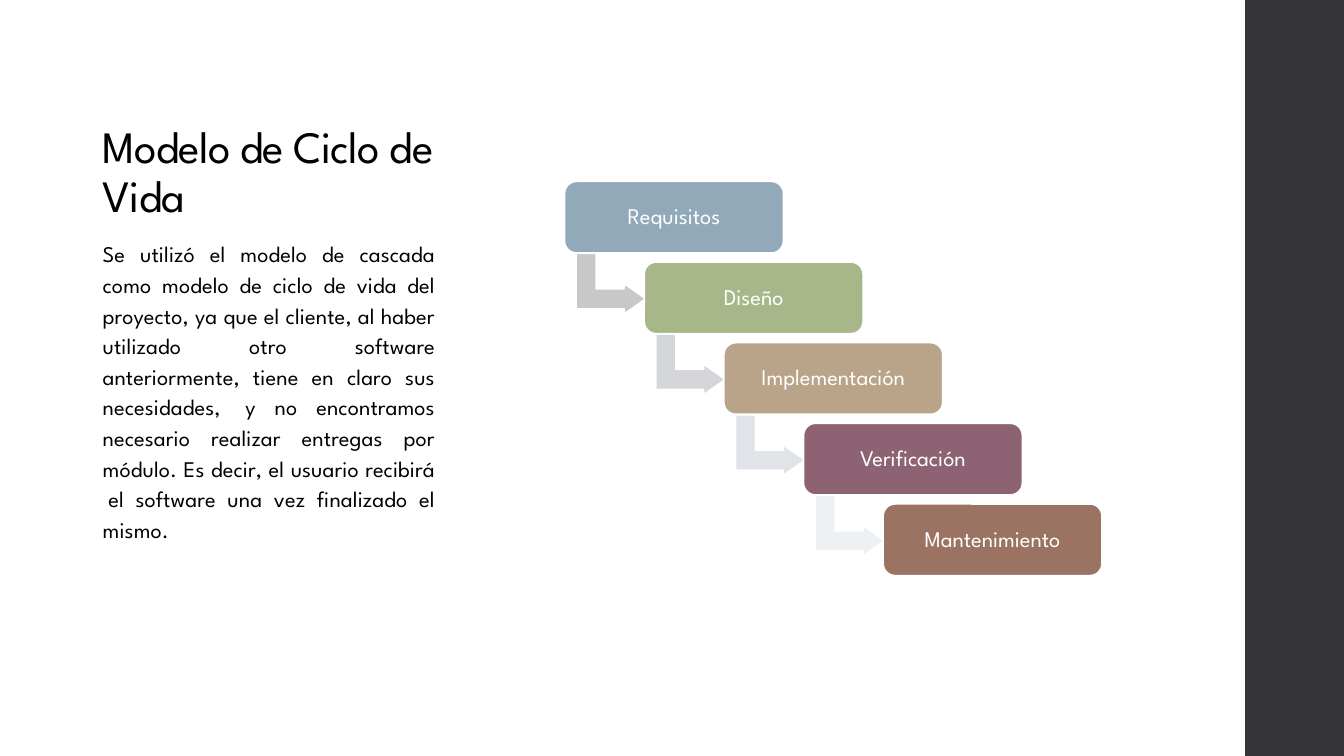
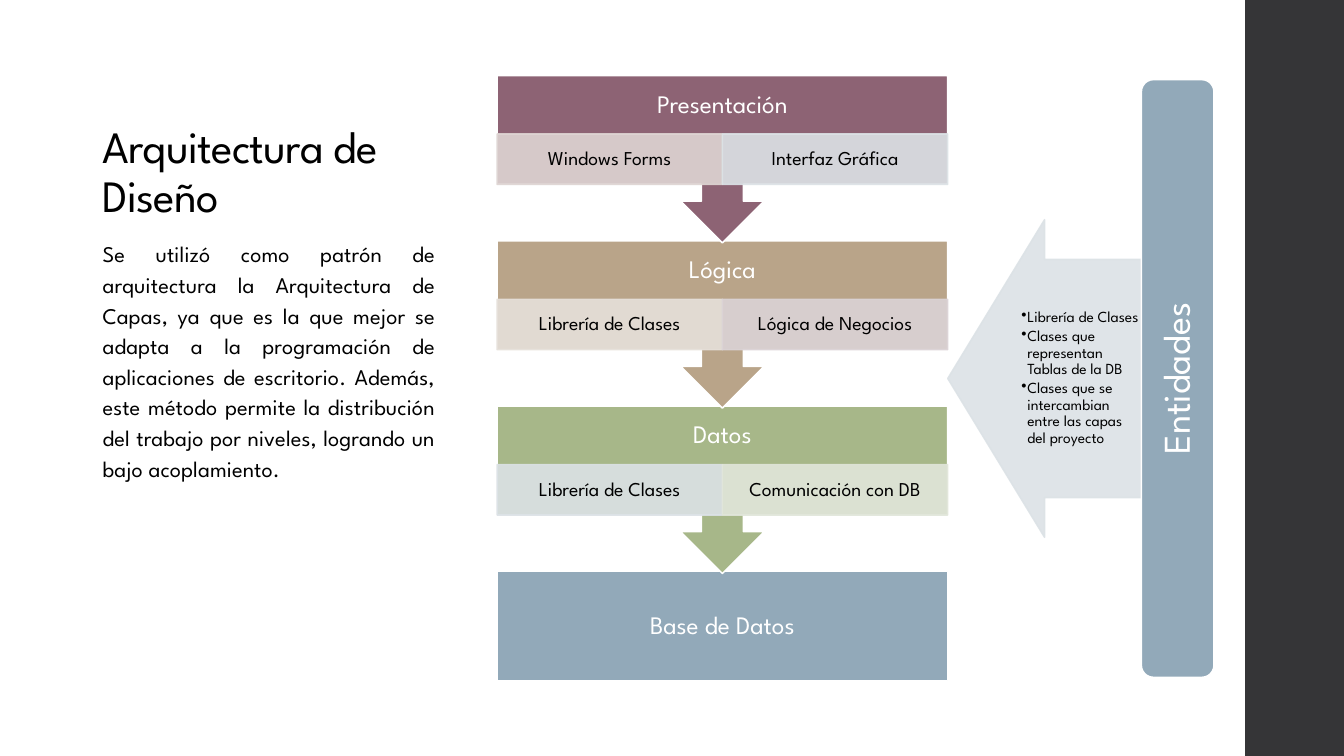
from lxml import etree
from pptx import Presentation
from pptx.dml.color import RGBColor
from pptx.enum.shapes import MSO_SHAPE
from pptx.enum.text import MSO_ANCHOR, PP_ALIGN
from pptx.oxml.ns import qn
from pptx.util import Inches, Pt

RECT = MSO_SHAPE.RECTANGLE
ROUNDED = MSO_SHAPE.ROUNDED_RECTANGLE
BENT_ARROW = MSO_SHAPE.BENT_UP_ARROW
CALLOUT = MSO_SHAPE.DOWN_ARROW_CALLOUT
LEFT_ARROW = MSO_SHAPE.LEFT_ARROW
TOP, MIDDLE, BOTTOM = MSO_ANCHOR.TOP, MSO_ANCHOR.MIDDLE, MSO_ANCHOR.BOTTOM
LEFT, CENTER, JUSTIFY = PP_ALIGN.LEFT, PP_ALIGN.CENTER, PP_ALIGN.JUSTIFY

FONT = "League Spartan"
COLORS = {
    "white": "FFFFFF", "black": "000000", "band": "353537",
    "blue": "92A9B9", "green": "A7B789", "sand": "B9A489",
    "plum": "8D6374", "brown": "9B7362",
    "pale blue": "DCE2E6", "pale green": "E1E6DA", "pale sand": "E6E0DA",
    "pale plum": "DBD3D6", "pale brown": "DED5D3",
    "arrow 1": "C8C8C9", "arrow 2": "D4D5D9",
    "arrow 3": "E0E3E7", "arrow 4": "EEF1F3",
}
STEPS = [
    ("Requisitos", "blue"),
    ("Diseño", "green"),
    ("Implementación", "sand"),
    ("Verificación", "plum"),
    ("Mantenimiento", "brown"),
]
LAYERS = [
    ("Presentación", "plum",
     [("Windows Forms", "pale brown"), ("Interfaz Gráfica", "pale blue")]),
    ("Lógica", "sand",
     [("Librería de Clases", "pale sand"), ("Lógica de Negocios", "pale plum")]),
    ("Datos", "green",
     [("Librería de Clases", "pale blue"), ("Comunicación con DB", "pale green")]),
]
ENTITY_NOTES = [
    "Librería de Clases",
    "Clases que representan Tablas de la DB",
    "Clases que se intercambian entre las capas del proyecto",
]
LIFE_CYCLE_TEXT = (
    "Se utilizó el modelo de cascada como modelo de ciclo de vida del proyecto, "
    "ya que el cliente, al haber utilizado otro software anteriormente, tiene en "
    "claro sus necesidades, \u00a0y no encontramos necesario realizar entregas por "
    "módulo. Es decir, el usuario recibirá \u00a0el software una vez finalizado el "
    "mismo."
)
ARCHITECTURE_TEXT = (
    "Se utilizó como patrón de arquitectura la Arquitectura de Capas, ya que es la "
    "que mejor se adapta a la programación de aplicaciones de escritorio. Además, "
    "este método permite la distribución del trabajo por niveles, logrando un bajo "
    "acoplamiento."
)


def rgb(name):
    return RGBColor.from_string(COLORS[name])


def place(left, top, width, height):
    return [Inches(value) for value in (left, top, width, height)]


def add_bullet(para, indent):
    properties = para._p.get_or_add_pPr()
    properties.set("marL", str(Inches(indent)))
    properties.set("indent", str(-Inches(indent)))
    etree.SubElement(properties, qn("a:buChar")).set("char", "•")


def write(shape, lines, size, color="white", align=CENTER, anchor=MIDDLE,
          insets=(0.07, 0.07), line_spacing=0.9, before=0, after=0,
          tracking=0, bullet_indent=None):
    frame = shape.text_frame
    frame.word_wrap = True
    frame.vertical_anchor = anchor
    frame.margin_left = frame.margin_right = Inches(insets[0])
    frame.margin_top = frame.margin_bottom = Inches(insets[1])
    for index, line in enumerate(lines):
        para = frame.add_paragraph() if index else frame.paragraphs[0]
        para.alignment = align
        para.line_spacing = line_spacing
        para.space_before, para.space_after = Pt(before), Pt(after)
        if bullet_indent:
            add_bullet(para, bullet_indent)
        para.font.name = FONT
        para.font.size = Pt(size)
        para.font.color.rgb = rgb(color)
        span = para.add_run()
        span.text = line
        if tracking:
            span._r.get_or_add_rPr().set("spc", str(tracking))


def add_text(page, box, lines, size, **style):
    write(page.shapes.add_textbox(*place(*box)), lines, size, **style)


def add_block(page, kind, box, fill, line="white", adjustments=(), opacity=None):
    shape = page.shapes.add_shape(kind, *place(*box))
    shape.shadow.inherit = False
    for index, value in enumerate(adjustments):
        shape.adjustments[index] = value
    shape.fill.solid()
    shape.fill.fore_color.rgb = rgb(fill)
    if line:
        shape.line.color.rgb = rgb(line)
        shape.line.width = Pt(1.1)
    else:
        shape.line.fill.background()
    if opacity:
        for color in shape._element.spPr.iter(qn("a:srgbClr")):
            etree.SubElement(color, qn("a:alpha")).set("val", str(opacity * 1000))
    return shape


def add_pale_block(page, kind, box, color, adjustments=()):
    return add_block(page, kind, box, color, color, adjustments, opacity=90)


def add_page(deck, title, body):
    page = deck.slides.add_slide(deck.slide_layouts[6])
    add_block(page, RECT, (12.35, 0, 0.98, 7.5), "band", line=None)
    add_text(page, (0.92, 0.5, 3.5, 1.75), [title], 32, color="black", align=LEFT,
             anchor=BOTTOM, insets=(0.1, 0.05), tracking=-50)
    add_text(page, (0.92, 2.3, 3.5, 4.17), [body], 16, color="black", align=JUSTIFY,
             anchor=TOP, insets=(0.1, 0.05), line_spacing=1.14, before=8, after=2,
             tracking=10)
    return page


def add_waterfall(page):
    for index, (name, color) in enumerate(STEPS):
        left, top = 5.6 + 0.79 * index, 1.8 + 0.8 * index
        if index < len(STEPS) - 1:
            arrow = add_block(page, BENT_ARROW, (left + 0.16, top + 0.67, 0.6, 0.69),
                              f"arrow {index + 1}", adjustments=(0.33, 0.25, 0.36))
            arrow.rotation = 90
        step = add_block(page, ROUNDED, (left, top, 2.17, 0.71), color)
        write(step, [name], 16)


def add_layers(page):
    left, top, width, pitch = 4.93, 0.75, 4.47, 1.64
    base = add_block(page, RECT, (left, top + pitch * len(LAYERS), width, 1.08), "blue")
    write(base, ["Base de Datos"], 18)
    for index, (name, color, parts) in reversed(list(enumerate(LAYERS))):
        layer_top = top + pitch * index
        add_block(page, CALLOUT, (left, layer_top, width, 1.66), color)
        add_text(page, (left, layer_top, width, 0.58), [name], 18)
        for column, (part, part_color) in enumerate(parts):
            cell_box = (left + width / 2 * column, layer_top + 0.58, width / 2, 0.5)
            cell = add_pale_block(page, RECT, cell_box, part_color)
            write(cell, [part], 14, color="black", insets=(0.11, 0.02))


def add_entities(page):
    add_pale_block(page, LEFT_ARROW, (9.4, 2.18, 1.92, 3.15), "pale blue", (0.75, 0.5))
    add_text(page, (10.12, 2.57, 1.2, 2.36), ENTITY_NOTES, 11, color="black",
             align=LEFT, insets=(0.01, 0.01), after=1.65, bullet_indent=0.06)
    bar = add_block(page, ROUNDED, (11.32, 0.79, 0.72, 5.93), "blue")
    write(bar, ["Entidades"], 27, insets=(0.11, 0.06))
    bar.text_frame._txBody.bodyPr.set("vert", "vert270")


def main():
    deck = Presentation()
    deck.slide_width, deck.slide_height = Inches(13.33), Inches(7.5)
    add_waterfall(add_page(deck, "Modelo de Ciclo de Vida", LIFE_CYCLE_TEXT))
    architecture = add_page(deck, "Arquitectura de Diseño", ARCHITECTURE_TEXT)
    add_layers(architecture)
    add_entities(architecture)
    deck.save("out.pptx")


main()
